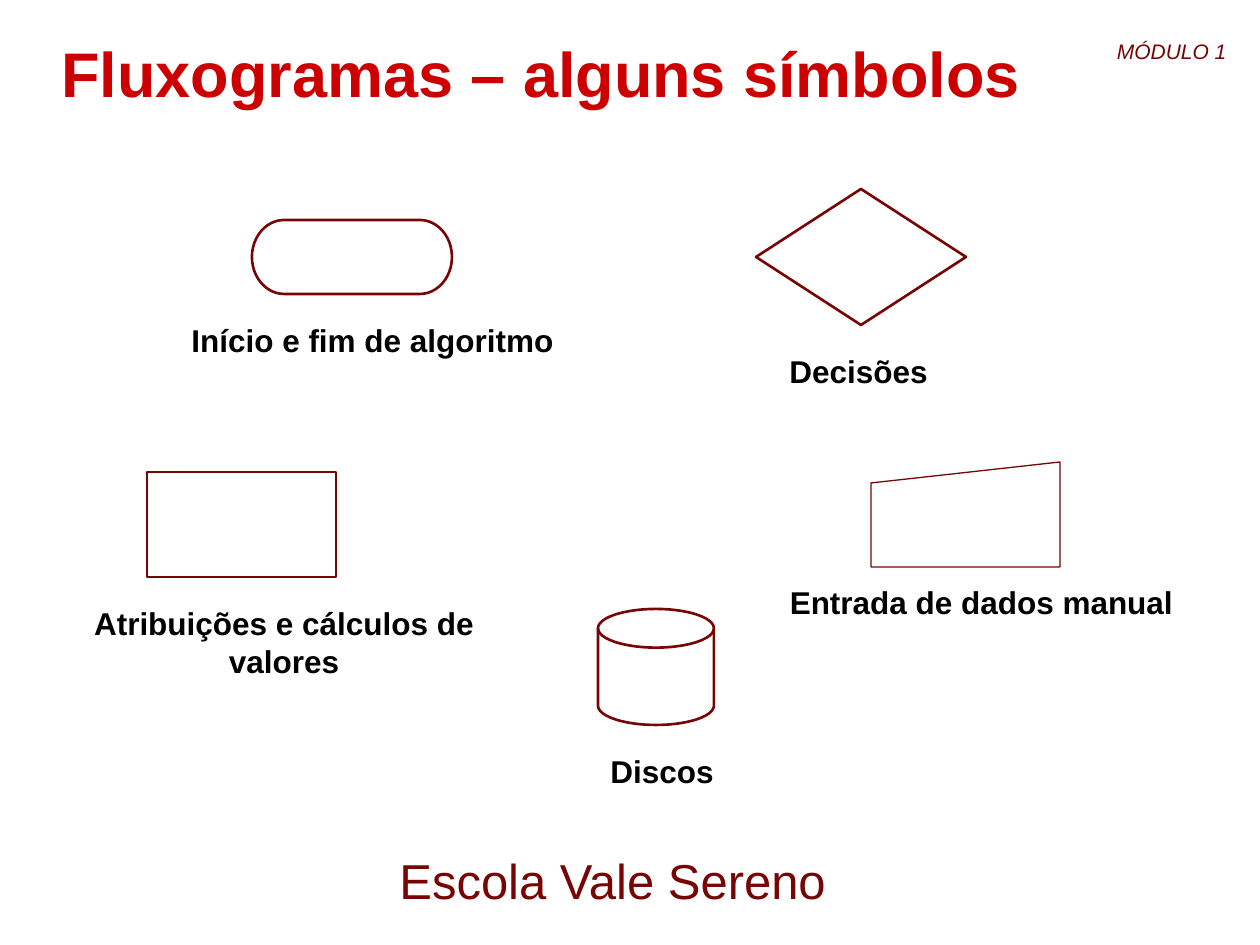
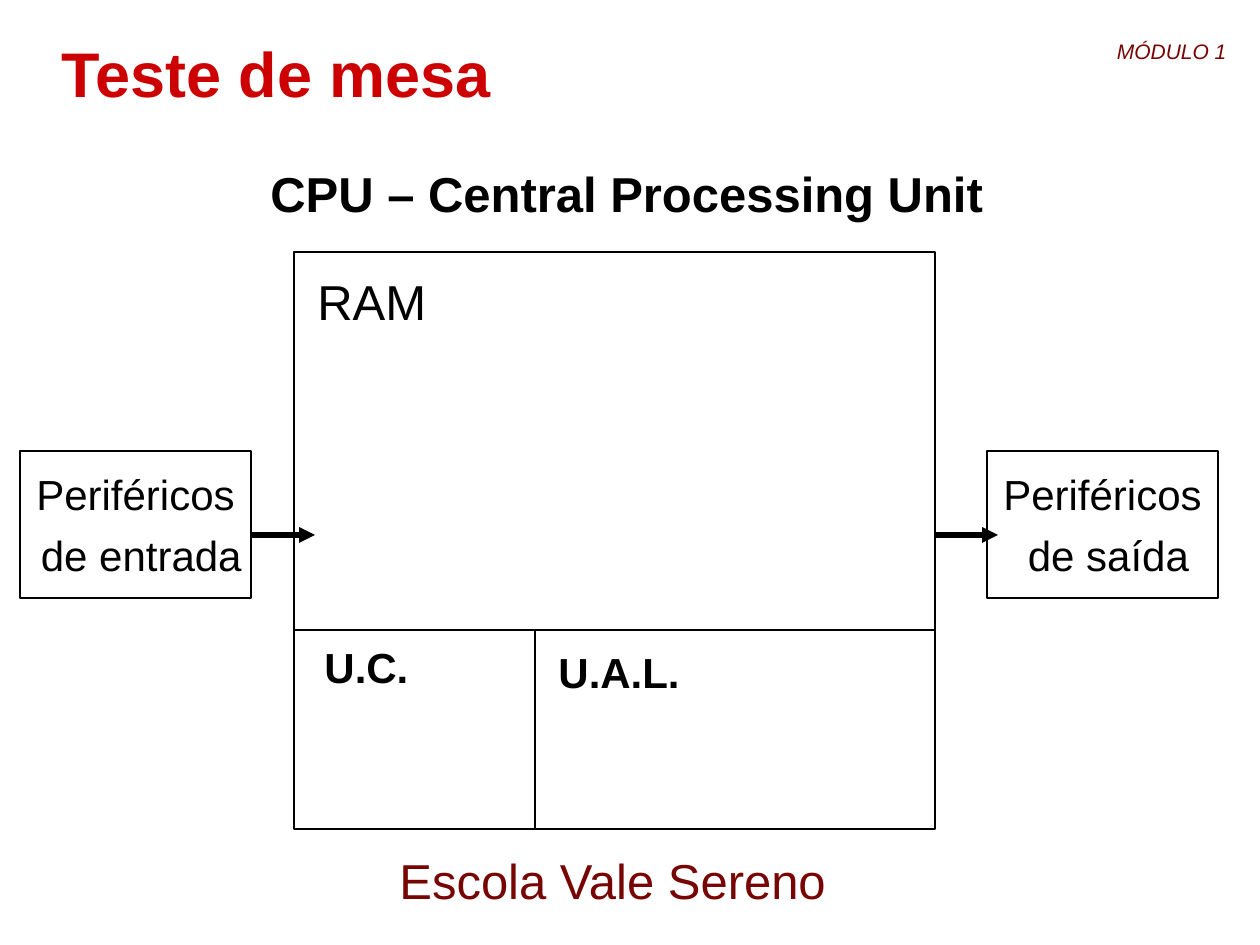
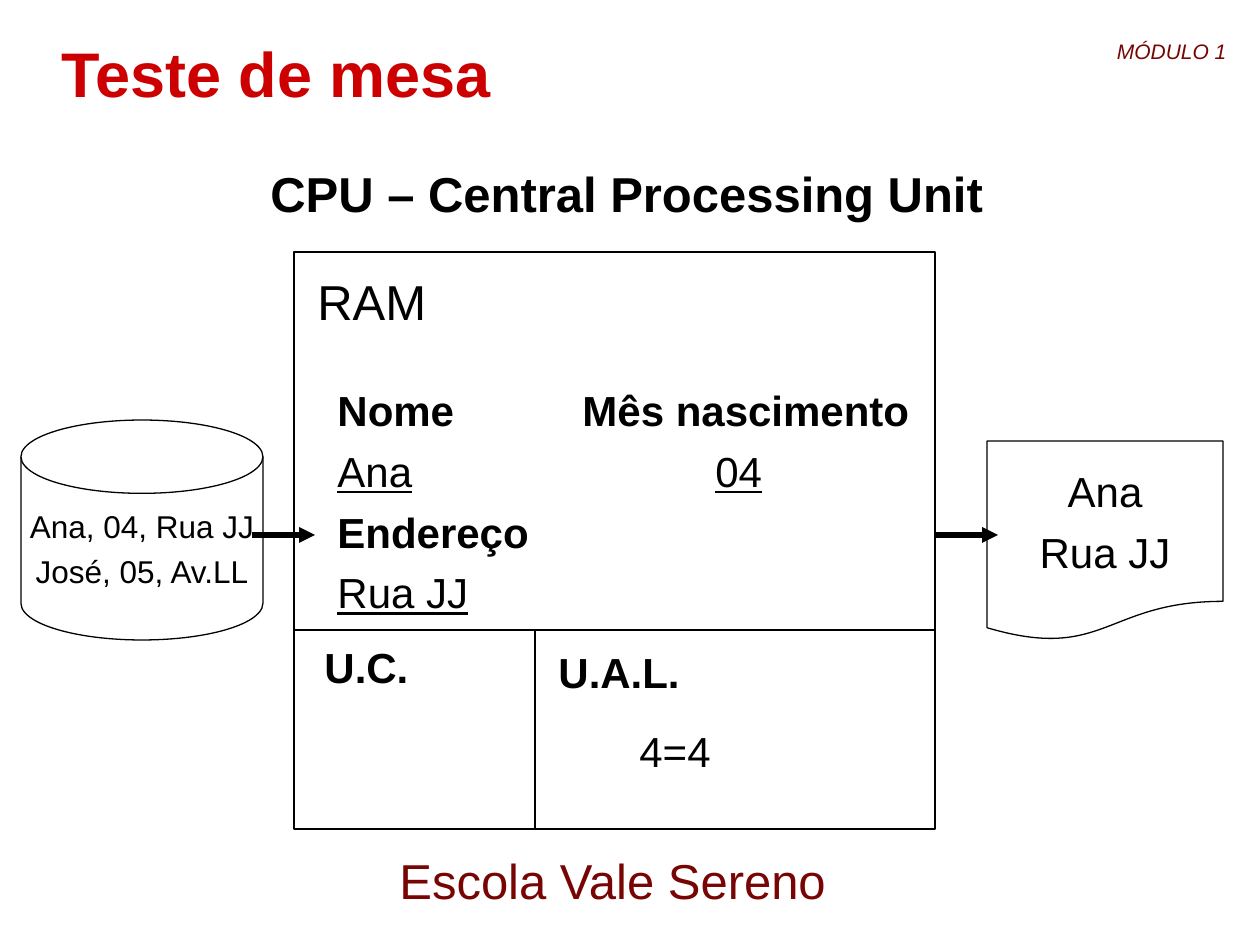
from dataclasses import dataclass

from lxml.etree import SubElement
from pptx import Presentation
from pptx.dml.color import RGBColor
from pptx.enum.shapes import MSO_CONNECTOR, MSO_SHAPE as SHAPE
from pptx.enum.text import MSO_ANCHOR as ANCHOR, PP_ALIGN as ALIGN
from pptx.oxml.ns import qn
from pptx.util import Pt

PX = 914400 / 126
SLIDE_SIZE = (1260, 945)


@dataclass(frozen=True)
class Theme:
    font: str = "Arial"
    title: str = "CC0000"
    accent: str = "770504"
    ink: str = "000000"
    title_size: int = 36
    heading_size: int = 28
    body_size: int = 24
    label_size: int = 18
    module_size: int = 12
    thin: float = 0.75
    medium: float = 1.5
    thick: float = 3


T = Theme()

MODULE = "MÓDULO 1"
FOOTER = "Escola Vale Sereno"

# shape, shape box, line width, caption, caption box, caption alignment
SYMBOLS = [
    (SHAPE.FLOWCHART_TERMINATOR, (252, 220, 200, 74), T.medium,
     "Início e fim de algoritmo", (179, 315, 462, 50), ALIGN.LEFT),
    (SHAPE.RECTANGLE, (147, 472, 189, 105), T.medium,
     "Atribuições e cálculos de valores", (53, 598, 462, 88), ALIGN.CENTER),
    (SHAPE.DIAMOND, (756, 189, 210, 136), T.medium,
     "Decisões", (777, 346, 378, 50), ALIGN.LEFT),
    (SHAPE.FLOWCHART_MANUAL_INPUT, (871, 462, 189, 105), T.thin,
     "Entrada de dados manual", (756, 577, 451, 50), ALIGN.CENTER),
    (SHAPE.FLOWCHART_MAGNETIC_DISK, (598, 609, 116, 116), T.medium,
     "Discos", (598, 746, 462, 50), ALIGN.LEFT),
]

CPU_BOX = (294, 252, 641, 577)
RAM_BOTTOM = 630
UNIT_SPLIT = 535
ARROW_Y = 535
ARROW_LENGTH = 63
ARROW_STARTS = (252, 935)

# text, box, size, bold
CPU_LABELS = [
    ("CPU – Central Processing Unit", (258, 157, 738, 72), T.heading_size, True),
    ("RAM", (305, 265, 135, 72), T.heading_size, False),
    ("U.C.", (312, 635, 110, 63), T.body_size, True),
    ("U.A.L.", (546, 640, 147, 63), T.body_size, True),
]

# shape, box, text, size
PERIPHERALS = [
    (SHAPE.RECTANGLE, (20, 451, 231, 147), "Periféricos\n de entrada", T.body_size),
    (SHAPE.RECTANGLE, (987, 451, 231, 147), "Periféricos\n de saída", T.body_size),
]
FILES = [
    (SHAPE.FLOWCHART_MAGNETIC_DISK, (21, 420, 242, 220),
     "Ana, 04, Rua JJ\nJosé, 05, Av.LL", T.label_size),
    (SHAPE.FLOWCHART_DOCUMENT, (987, 441, 236, 200), "Ana\nRua JJ", T.body_size),
]

RECORD_BOX = (325, 378, 600, 246)
# runs as (text, style), tab stops
RECORD = [
    ([("Nome\tMês nascimento", "bold")], [245]),
    ([("Ana\t", "underline"), ("\t", ""), ("04", "underline")], [110, 378]),
    ([("Endereço", "bold")], []),
    ([("Rua JJ\t", "underline")], [352]),
]
COMPARISON = ("4=4", (627, 719, 97, 63), T.body_size, False)


def emu(*lengths):
    return [round(n * PX) for n in lengths]


def rgb(color):
    return RGBColor.from_string(color)


def style_runs(p, size, color=T.ink, bold=False, italic=False):
    p.space_before = Pt(size / 4)
    for r in p.runs:
        f = r.font
        f.name, f.size, f.bold, f.italic = T.font, Pt(size), bold, italic
        f.color.rgb = rgb(color)


def write(sp, text, size, align=ALIGN.LEFT, anchor=ANCHOR.TOP, wrap=False, **style):
    tf = sp.text_frame
    tf.text = text
    tf.word_wrap = wrap
    tf.vertical_anchor = anchor
    for p in tf.paragraphs:
        p.alignment = align
        style_runs(p, size, **style)


def add_text(s, text, box, size, **style):
    write(s.shapes.add_textbox(*emu(*box)), text, size, **style)


def add_outline(s, kind, box, color=T.ink, width=T.thin):
    sp = s.shapes.add_shape(kind, *emu(*box))
    sp.shadow.inherit = False
    sp.fill.background()
    sp.line.color.rgb = rgb(color)
    sp.line.width = Pt(width)
    return sp


def add_line(s, start, end, width=T.thin, arrow=False):
    line = s.shapes.add_connector(MSO_CONNECTOR.STRAIGHT, *emu(*start, *end))
    line.line.color.rgb = rgb(T.ink)
    line.line.width = Pt(width)
    if arrow:
        SubElement(line.line._get_or_add_ln(), qn("a:tailEnd"), type="triangle")
    SubElement(line._element.spPr, qn("a:effectLst"))


def add_slide(prs, title):
    """Add a blank slide with the shared module tag, footer and title."""
    s = prs.slides.add_slide(prs.slide_layouts[6])
    add_text(s, MODULE, (1090, 32, 149, 68), T.module_size,
             align=ALIGN.RIGHT, color=T.accent, italic=True)
    add_text(s, FOOTER, (333, 844, 559, 72), T.heading_size,
             align=ALIGN.CENTER, wrap=True, color=T.accent)
    add_text(s, title, (49, 9, 990, 107), T.title_size,
             anchor=ANCHOR.BOTTOM, wrap=True, color=T.title, bold=True)
    return s


def add_symbols(s):
    for kind, box, width, caption, caption_box, align in SYMBOLS:
        add_outline(s, kind, box, T.accent, width)
        add_text(s, caption, caption_box, T.label_size,
                 align=align, wrap=True, bold=True)


def add_cpu(s, devices):
    """Draw the CPU block with its input and output devices."""
    left, top, width, height = CPU_BOX
    right, bottom = left + width, top + height
    add_outline(s, SHAPE.RECTANGLE, CPU_BOX)
    add_line(s, (left, RAM_BOTTOM), (right, RAM_BOTTOM))
    add_line(s, (UNIT_SPLIT, RAM_BOTTOM), (UNIT_SPLIT, bottom))
    for x in ARROW_STARTS:
        add_line(s, (x, ARROW_Y), (x + ARROW_LENGTH, ARROW_Y), T.thick, arrow=True)
    for text, box, size, bold in CPU_LABELS:
        add_text(s, text, box, size, bold=bold)
    for kind, box, text, size in devices:
        write(add_outline(s, kind, box), text, size,
              align=ALIGN.CENTER, anchor=ANCHOR.MIDDLE)


def add_record(s):
    tf = s.shapes.add_textbox(*emu(*RECORD_BOX)).text_frame
    tf.word_wrap = True
    tf.margin_right = 0
    for i, (runs, stops) in enumerate(RECORD):
        p = tf.add_paragraph() if i else tf.paragraphs[0]
        for text, _ in runs:
            p.add_run().text = text
        style_runs(p, T.body_size)
        for r, (_, style) in zip(p.runs, runs):
            r.font.bold = style == "bold"
            r.font.underline = style == "underline"
        if stops:
            tabs = SubElement(p._p.get_or_add_pPr(), qn("a:tabLst"))
            for pos in emu(*stops):
                SubElement(tabs, qn("a:tab"), pos=str(pos), algn="l")


def main():
    prs = Presentation()
    prs.slide_width, prs.slide_height = emu(*SLIDE_SIZE)

    add_symbols(add_slide(prs, "Fluxogramas – alguns símbolos"))
    add_cpu(add_slide(prs, "Teste de mesa"), PERIPHERALS)

    s = add_slide(prs, "Teste de mesa")
    add_cpu(s, FILES)
    add_record(s)
    text, box, size, bold = COMPARISON
    add_text(s, text, box, size, bold=bold)

    prs.save("out.pptx")


if __name__ == "__main__":
    main()
